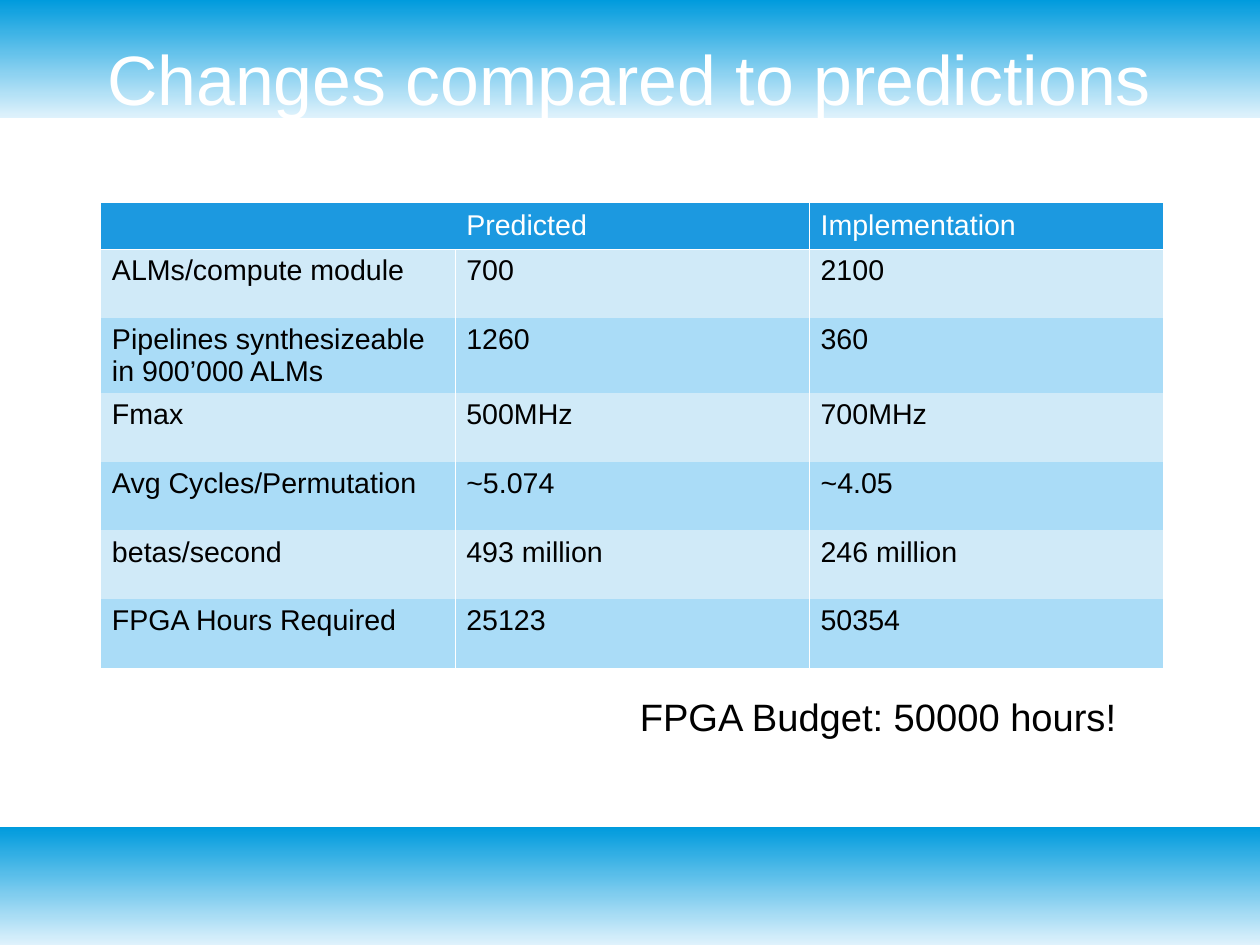
from lxml import etree
from pptx import Presentation
from pptx.dml.color import RGBColor
from pptx.enum.shapes import MSO_SHAPE
from pptx.enum.text import MSO_ANCHOR, PP_ALIGN
from pptx.oxml.ns import qn
from pptx.util import Emu, Inches, Pt

RECTANGLE = MSO_SHAPE.RECTANGLE
MIDDLE = MSO_ANCHOR.MIDDLE
CENTER = PP_ALIGN.CENTER

TITLE = "Changes compared to predictions"
ROWS = [
    ("", "Predicted", "Implementation"),
    ("ALMs/compute module", "700", "2100"),
    ("Pipelines synthesizeable in 900’000 ALMs", "1260", "360"),
    ("Fmax", "500MHz", "700MHz"),
    ("Avg Cycles/Permutation", "~5.074", "~4.05"),
    ("betas/second", "493 million", "246 million"),
    ("FPGA Hours Required", "25123", "50354"),
]
BUDGET = "FPGA Budget: 50000 hours!"
COLORS = {
    "white": "FFFFFF", "black": "000000",
    "band_light": "DFF2FC", "band_dark": "009BDD",
    "header": "1C99E0", "odd_row": "D0EAF8", "even_row": "AADCF7",
}
FONT = "Arial"
PAGE_WIDTH, PAGE_HEIGHT = Emu(10080625), Emu(7559675)
BAND_HEIGHT = Inches(1.03)
COLUMN_WIDTH, HEADER_HEIGHT, ROW_HEIGHT = Inches(3.1), Inches(0.4), Inches(0.6)
TABLE_HEIGHT = Inches(4.06)


def rgb(name):
    return RGBColor.from_string(COLORS[name])


def write(frame, text, size, color):
    frame.text = text
    para = frame.paragraphs[0]
    for font in [span.font for span in para.runs] or [para.font]:
        font.name, font.size, font.bold = FONT, Pt(size), False
        font.color.rgb = rgb(color)


def add_band(page, top):
    band = page.shapes.add_shape(RECTANGLE, 0, top, PAGE_WIDTH, BAND_HEIGHT)
    band.shadow.inherit = False
    band.line.fill.background()
    band.fill.gradient()
    band.fill.gradient_angle = 90
    stops = zip(band.fill.gradient_stops, ("band_light", "band_dark"))
    for position, (stop, color) in enumerate(stops):
        stop.position = position
        stop.color.rgb = rgb(color)


def set_borders(cell, visible):
    properties = cell._tc.get_or_add_tcPr()
    for index, side in enumerate("LRTB"):
        line = etree.Element(qn(f"a:ln{side}"), w=str(Pt(0.06)))
        if side in visible:
            fill = etree.SubElement(line, qn("a:solidFill"))
            etree.SubElement(fill, qn("a:srgbClr"), val=COLORS["white"])
        else:
            etree.SubElement(line, qn("a:noFill"))
        properties.insert(index, line)


def add_comparison(page):
    holder = page.shapes.add_table(
        len(ROWS), len(ROWS[0]), Inches(0.88), Inches(1.78),
        COLUMN_WIDTH * len(ROWS[0]), TABLE_HEIGHT)
    table = holder.table
    for column in table.columns:
        column.width = COLUMN_WIDTH
    for r, values in enumerate(ROWS):
        table.rows[r].height = ROW_HEIGHT if r else HEADER_HEIGHT
        row_color = "header" if r == 0 else "odd_row" if r % 2 else "even_row"
        for c, value in enumerate(values):
            cell = table.cell(r, c)
            write(cell.text_frame, value, 18, "black" if r else "white")
            cell.fill.solid()
            cell.fill.fore_color.rgb = rgb(row_color)
            visible = "LR" if r else ("B", "RB", "LB")[c]
            set_borders(cell, visible + ("T" if r == 1 else ""))
    holder.height = TABLE_HEIGHT


def main():
    deck = Presentation()
    deck.slide_width, deck.slide_height = PAGE_WIDTH, PAGE_HEIGHT
    page = deck.slides.add_slide(deck.slide_layouts[5])

    for top in (0, PAGE_HEIGHT - BAND_HEIGHT):
        add_band(page, top)

    title = page.shapes.title
    title.left, title.top = Inches(0.55), Inches(0.33)
    title.width, title.height = Inches(9.92), Inches(0.7)
    frame = title.text_frame
    frame.margin_left = frame.margin_right = frame.margin_top = frame.margin_bottom = 0
    frame.vertical_anchor = MIDDLE
    write(frame, TITLE, 44, "white")
    frame.paragraphs[0].alignment = CENTER
    page.shapes[-1].element.addnext(title.element)

    add_comparison(page)

    box = page.shapes.add_textbox(Inches(5.5), Inches(6.02), Inches(4.4), Inches(0.88))
    box.text_frame.word_wrap = True
    write(box.text_frame, BUDGET, 24, "black")

    deck.save("out.pptx")


if __name__ == "__main__":
    main()
